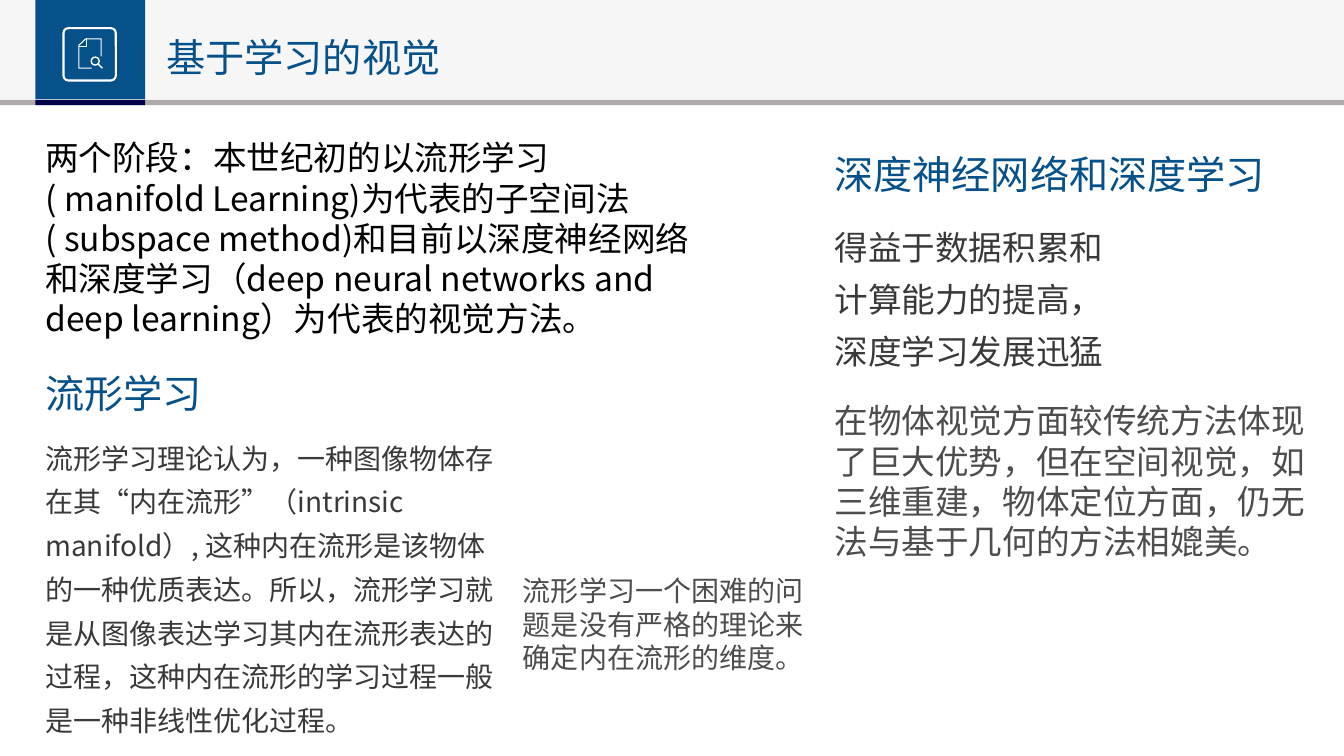
from lxml import etree
from pptx import Presentation
from pptx.dml.color import RGBColor
from pptx.enum.shapes import MSO_CONNECTOR, MSO_SHAPE
from pptx.enum.text import MSO_ANCHOR, MSO_AUTO_SIZE, PP_ALIGN
from pptx.oxml.ns import qn
from pptx.util import Cm, Pt

RECTANGLE = MSO_SHAPE.RECTANGLE
ROUNDED_RECTANGLE = MSO_SHAPE.ROUNDED_RECTANGLE
OVAL = MSO_SHAPE.OVAL
STRAIGHT = MSO_CONNECTOR.STRAIGHT
TOP = MSO_ANCHOR.TOP
LEFT = PP_ALIGN.LEFT
FIT_SHAPE = MSO_AUTO_SIZE.SHAPE_TO_FIT_TEXT

CHINESE_FONT = "Noto Sans CJK SC"
BLUE = "06518A"
NAVY = "000048"
GREY = "AFABAB"
WHITE = "FFFFFF"
BLACK = "000000"
DARK = "3B3838"
MEDIUM = "4D4D4D"


def color(value):
    return RGBColor.from_string(value)


def write_text(shape, text, size=28, text_color=BLUE, font=CHINESE_FONT, spacing=1.0, wrap=True):
    frame = shape.text_frame
    frame.word_wrap = wrap
    frame.auto_size = FIT_SHAPE
    frame.vertical_anchor = TOP
    paragraph = frame.paragraphs[0]
    paragraph.alignment = LEFT
    paragraph.line_spacing = spacing
    run = paragraph.add_run()
    run.text = text
    run.font.size = Pt(size)
    run.font.name = font
    run.font.color.rgb = color(text_color)
    east_asian = etree.SubElement(run.font._element, qn("a:ea"))
    east_asian.set("typeface", CHINESE_FONT)


presentation = Presentation()
presentation.slide_width = Cm(33.87)
presentation.slide_height = Cm(19.05)
slide = presentation.slides.add_slide(presentation.slide_layouts[5])
title = slide.shapes.title

icon = slide.shapes.add_group_shape()
bands = [
    (slide.shapes, 0, 0, 33.87, 2.5, GREY),
    (slide.shapes, 0, 2.52, 33.87, 0.13, GREY),
    (icon.shapes, 0.89, 0, 2.77, 2.5, BLUE),
    (icon.shapes, 0.89, 2.52, 2.77, 0.13, NAVY),
]
for shapes, left, top, width, height, fill_color in bands:
    band = shapes.add_shape(RECTANGLE, Cm(left), Cm(top), Cm(width), Cm(height))
    band.shadow.inherit = False
    band.fill.solid()
    band.fill.fore_color.rgb = color(fill_color)
    band.line.fill.background()

header = slide.shapes[2]
header_color = header.element.spPr.find(qn("a:solidFill")).find(qn("a:srgbClr"))
etree.SubElement(header_color, qn("a:alpha")).set("val", "10000")

frame_shape = icon.shapes.add_shape(ROUNDED_RECTANGLE, Cm(1.6), Cm(0.71), Cm(1.32), Cm(1.32))
frame_shape.adjustments[0] = 0.095
lens = icon.shapes.add_shape(OVAL, Cm(2.3), Cm(1.44), Cm(0.2), Cm(0.2))
icon_lines = [(frame_shape, 1.5), (lens, 1)]

page_outline = [(231, 172), (199, 172), (199, 114), (216, 98), (255, 98), (255, 142)]
page_fold = [(200, 117), (218, 117), (218, 97)]
for points in (page_outline, page_fold):
    builder = icon.shapes.build_freeform(*points[0], scale=Cm(0.01))
    builder.add_line_segments(points[1:], close=False)
    icon_lines.append((builder.convert_to_shape(), 0.75))

for shape, line_width in icon_lines:
    shape.shadow.inherit = False
    shape.fill.background()
    shape.line.color.rgb = color(WHITE)
    shape.line.width = Pt(line_width)

handle = icon.shapes.add_connector(STRAIGHT, Cm(2.48), Cm(1.62), Cm(2.58), Cm(1.72))
handle.line.color.rgb = color(WHITE)
handle.line.width = Pt(1)
etree.SubElement(handle.element.spPr, qn("a:effectLst"))

shape_tree = title.element.getparent()
shape_tree.append(title.element)
shape_tree.append(icon.element)
title.left, title.top, title.width, title.height = Cm(3.94), Cm(0.71), Cm(7.49), Cm(1.45)
write_text(title, "基于学习的视觉", wrap=False)

text_blocks = [
    (0.89, 9.17, 4.5, 1.45, "流形学习", {"wrap": False}),
    (0.89, 10.74, 11.86, 7.92,
     "流形学习理论认为，一种图像物体存在其“内在流形”（intrinsic manifold）, "
     "这种内在流形是该物体的一种优质表达。所以，流形学习就是从图像表达学习其内在流形表达的过程，"
     "这种内在流形的学习过程一般是一种非线性优化过程。",
     {"size": 20, "text_color": DARK, "spacing": 1.3}),
    (20.78, 3.66, 11.48, 1.45, "深度神经网络和深度学习", {"wrap": False}),
    (20.78, 5.28, 7.7, 4.14, "得益于数据积累和计算能力的提高，深度学习发展迅猛",
     {"size": 24, "text_color": DARK, "spacing": 1.3}),
    (0.89, 3.33, 16.92, 5.38,
     "两个阶段：本世纪初的以流形学习( manifold Learning)为代表的子空间法"
     "( subspace method)和目前以深度神经网络和深度学习"
     "（deep neural networks and deep learning）为代表的视觉方法。",
     {"size": 24, "text_color": BLACK}),
    (12.93, 14.33, 8.18, 2.82, "流形学习一个困难的问题是没有严格的理论来确定内在流形的维度。",
     {"size": 20, "text_color": MEDIUM, "font": "Calibri"}),
    (20.78, 9.96, 12.5, 4.37,
     "在物体视觉方面较传统方法体现了巨大优势，但在空间视觉，如三维重建，物体定位方面，"
     "仍无法与基于几何的方法相媲美。",
     {"size": 24, "text_color": MEDIUM, "font": "Calibri"}),
]
for left, top, width, height, text, text_format in text_blocks:
    box = slide.shapes.add_textbox(Cm(left), Cm(top), Cm(width), Cm(height))
    write_text(box, text, **text_format)

presentation.save("out.pptx")
